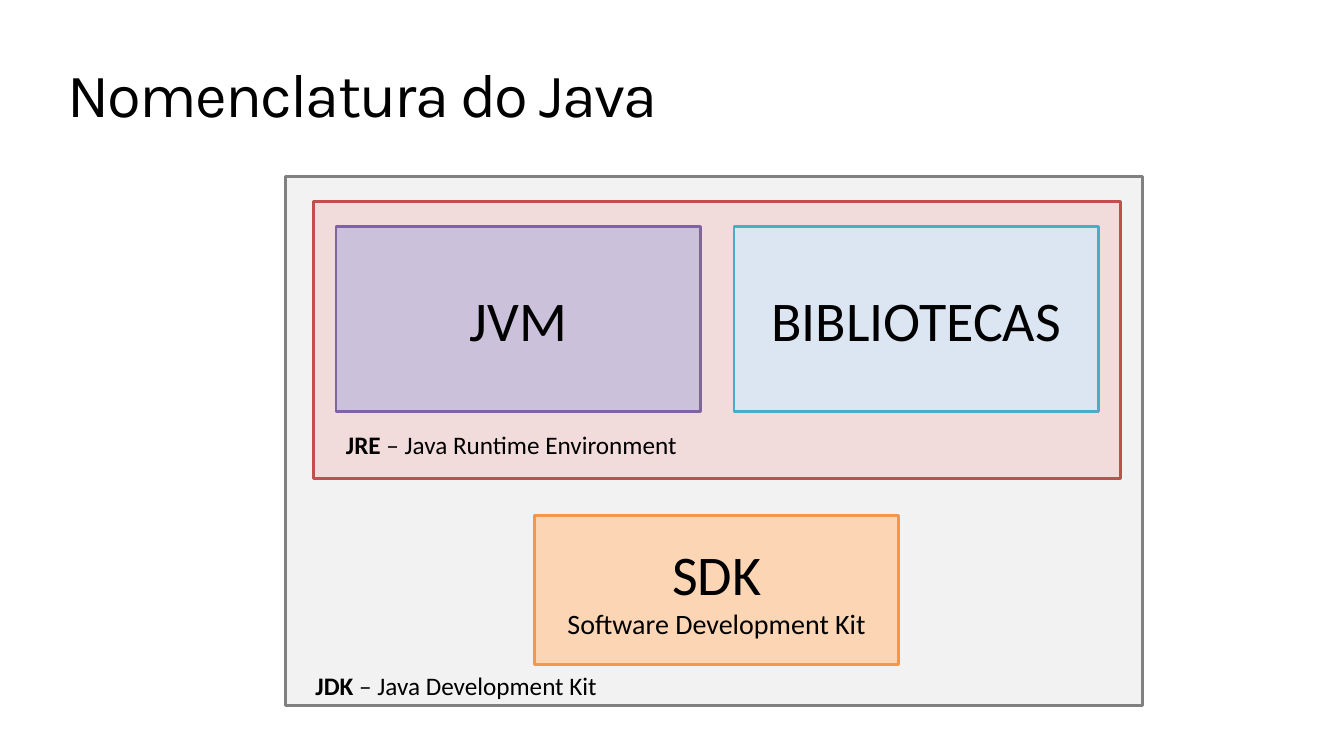
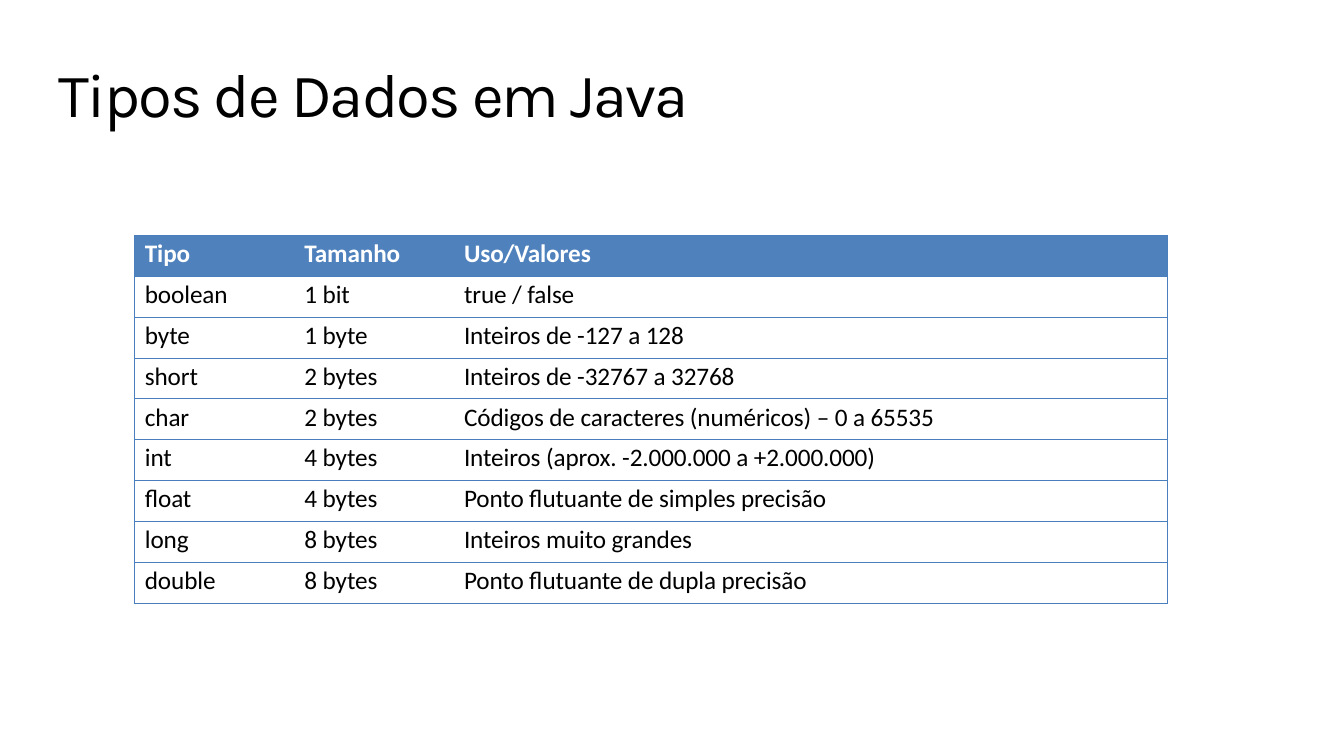
from lxml.etree import SubElement
from pptx import Presentation
from pptx.dml.color import RGBColor
from pptx.enum.shapes import MSO_SHAPE
from pptx.enum.text import MSO_ANCHOR, MSO_AUTO_SIZE, PP_ALIGN
from pptx.oxml.ns import qn
from pptx.util import Emu, Pt

PX = 9525  # EMU per px, 96 px to the inch
PAGE_SIZE = (1280, 720)
TITLE_ONLY = 5
NO_STYLE_TABLE = "{2D5ABB26-0587-4C30-8999-92F81FD0307C}"

BLACK = RGBColor(0x00, 0x00, 0x00)
WHITE = RGBColor(0xFF, 0xFF, 0xFF)
GRAY, GRAY_TINT = RGBColor(0x80, 0x80, 0x80), RGBColor(0xF2, 0xF2, 0xF2)
RED, RED_TINT = RGBColor(0xC0, 0x50, 0x4D), RGBColor(0xF2, 0xDC, 0xDB)
PURPLE, PURPLE_TINT = RGBColor(0x80, 0x64, 0xA2), RGBColor(0xCC, 0xC1, 0xDA)
AQUA, BLUE_TINT = RGBColor(0x4B, 0xAC, 0xC6), RGBColor(0xDC, 0xE6, 0xF2)
ORANGE, ORANGE_TINT = RGBColor(0xF7, 0x96, 0x46), RGBColor(0xFC, 0xD5, 0xB5)
HEADER_BLUE = RGBColor(0x4F, 0x81, 0xBD)
BORDER_BLUE = RGBColor(0x4B, 0x7E, 0xBC)

TITLE_FONT = {"name": "Karla", "size": Pt(44), "bold": False}
BIG_FONT = {"name": "Calibri", "size": Pt(40)}
SMALL_FONT = {"name": "Calibri", "size": Pt(20)}
BODY_FONT = {"name": "Calibri", "size": Pt(18), "bold": False}
BOLD_FONT = BODY_FONT | {"bold": True}

DATA_TYPES = [
    ("Tipo", "Tamanho", "Uso/Valores"),
    ("boolean", "1 bit", "true / false"),
    ("byte", "1 byte", "Inteiros de -127 a 128"),
    ("short", "2 bytes", "Inteiros de -32767 a 32768"),
    ("char", "2 bytes", "Códigos de caracteres (numéricos) – 0 a 65535"),
    ("int", "4 bytes", "Inteiros (aprox. -2.000.000 a +2.000.000)"),
    ("float", "4 bytes", "Ponto flutuante de simples precisão"),
    ("long", "8 bytes", "Inteiros muito grandes"),
    ("double", "8 bytes", "Ponto flutuante de dupla precisão"),
]


def px(*lengths):
    return [Emu(length * PX) for length in lengths]


def set_all(target, values):
    for name, value in values.items():
        setattr(target, name, value)


def set_margins(target, left, top, right, bottom):
    names = ("margin_left", "margin_top", "margin_right", "margin_bottom")
    set_all(target, dict(zip(names, px(left, top, right, bottom))))


def add_span(para, text, font, color=BLACK, spacing=0):
    """Add a run; spacing is in hundredths of a point."""
    span = para.add_run()
    span.text = text
    set_all(span.font, font)
    span.font.color.rgb = color
    if spacing:
        span.font._element.set("spc", str(spacing))


def add_page(deck, title, left, width):
    page = deck.slides.add_slide(deck.slide_layouts[TITLE_ONLY])
    box = page.shapes.title
    set_all(box, dict(zip(("left", "top", "width", "height"), px(left, 52, width, 73))))
    frame = box.text_frame
    set_all(frame, {"word_wrap": True, "auto_size": MSO_AUTO_SIZE.SHAPE_TO_FIT_TEXT,
                    "vertical_anchor": MSO_ANCHOR.TOP})
    set_margins(frame, 0, 1, 0, 0)
    para = frame.paragraphs[0]
    set_all(para, {"alignment": PP_ALIGN.LEFT, "space_before": Pt(0)})
    add_span(para, title, TITLE_FONT, spacing=-130)
    return page


def add_block(group, box, fill, line, lines=()):
    """Draw a bordered rectangle with centred (text, font) lines."""
    block = group.shapes.add_shape(MSO_SHAPE.RECTANGLE, *px(*box))
    block.shadow.inherit = False
    block.fill.solid()
    block.fill.fore_color.rgb = fill
    block.line.color.rgb = line
    block.line.width = Pt(2)
    block.text_frame.vertical_anchor = MSO_ANCHOR.MIDDLE
    para = block.text_frame.paragraphs[0]
    para.alignment = PP_ALIGN.CENTER
    for index, (text, font) in enumerate(lines):
        if index:
            para.add_line_break()
        add_span(para, text, font)


def add_label(group, box, acronym, meaning):
    label = group.shapes.add_textbox(*px(*box))
    set_all(label.text_frame, {"word_wrap": False,
                               "auto_size": MSO_AUTO_SIZE.SHAPE_TO_FIT_TEXT})
    para = label.text_frame.paragraphs[0]
    add_span(para, acronym, BOLD_FONT)
    add_span(para, f" – {meaning}", BODY_FONT)


def draw_jre(group, box):
    left, top, width, height = box
    margin, gap, inner_top = 21, 32, top + 24
    block_width = (width - 2 * margin - gap) // 2
    add_block(group, box, RED_TINT, RED)
    parts = [("JVM", PURPLE_TINT, PURPLE), ("BIBLIOTECAS", BLUE_TINT, AQUA)]
    for index, (name, fill, line) in enumerate(parts):
        block_left = left + margin + index * (block_width + gap)
        add_block(group, (block_left, inner_top, block_width, 176),
                  fill, line, [(name, BIG_FONT)])
    add_label(group, (left + margin, top + 212, 338, 38),
              "JRE", "Java Runtime Environment")


def draw_jdk(page, box):
    left, top, width, height = box
    group = page.shapes.add_group_shape()
    add_block(group, box, GRAY_TINT, GRAY)
    # Runtime on top, development kit centred below it
    jre_left, jre_width, sdk_width = left + 27, 768, 347
    draw_jre(group, (jre_left, top + 24, jre_width, 264))
    sdk_left = jre_left + (jre_width - sdk_width) // 2
    add_block(group, (sdk_left, top + 323, sdk_width, 142), ORANGE_TINT, ORANGE,
              [("SDK", BIG_FONT), ("Software Development Kit", SMALL_FONT)])
    add_label(group, (left + 19, top + 466, 291, 38), "JDK", "Java Development Kit")


def add_borders(cell, sides):
    properties = cell._tc.get_or_add_tcPr()
    for side in sides:
        border = SubElement(properties, qn(f"a:ln{side}"), w=str(Pt(0.75)))
        fill = SubElement(border, qn("a:solidFill"))
        SubElement(fill, qn("a:srgbClr"), val=str(BORDER_BLUE))


def draw_table(page, box, column_widths, rows):
    left, top, width, height = box
    table = page.shapes.add_table(len(rows), len(column_widths), *px(*box)).table
    table.horz_banding = False
    table._tbl.tblPr.find(qn("a:tableStyleId")).text = NO_STYLE_TABLE
    for column, column_width in zip(table.columns, px(*column_widths)):
        column.width = column_width
    last = len(column_widths) - 1
    for row_index, row in enumerate(rows):
        table.rows[row_index].height = px(height // len(rows))[0]
        is_header = row_index == 0
        for column_index, text in enumerate(row):
            cell = table.cell(row_index, column_index)
            set_margins(cell, 10, 3, 0, 0)
            # Outer frame and horizontal rules only
            sides = {0: "LTB", last: "RTB"}.get(column_index, "TB")
            add_borders(cell, sides)
            if is_header:
                cell.fill.solid()
                cell.fill.fore_color.rgb = HEADER_BLUE
            else:
                cell.fill.background()
            add_span(cell.text_frame.paragraphs[0], text,
                     BOLD_FONT if is_header else BODY_FONT,
                     WHITE if is_header else BLACK, spacing=-8)


def main():
    deck = Presentation()
    deck.slide_width, deck.slide_height = px(*PAGE_SIZE)

    # Java terms
    page = add_page(deck, "Nomenclatura do Java", 64, 699)
    draw_jdk(page, (272, 168, 816, 504))

    # Data types
    page = add_page(deck, "Tipos de Dados em Java", 56, 768)
    draw_table(page, (128, 224, 984, 351), (152, 152, 680), DATA_TYPES)

    deck.save("out.pptx")


if __name__ == "__main__":
    main()
